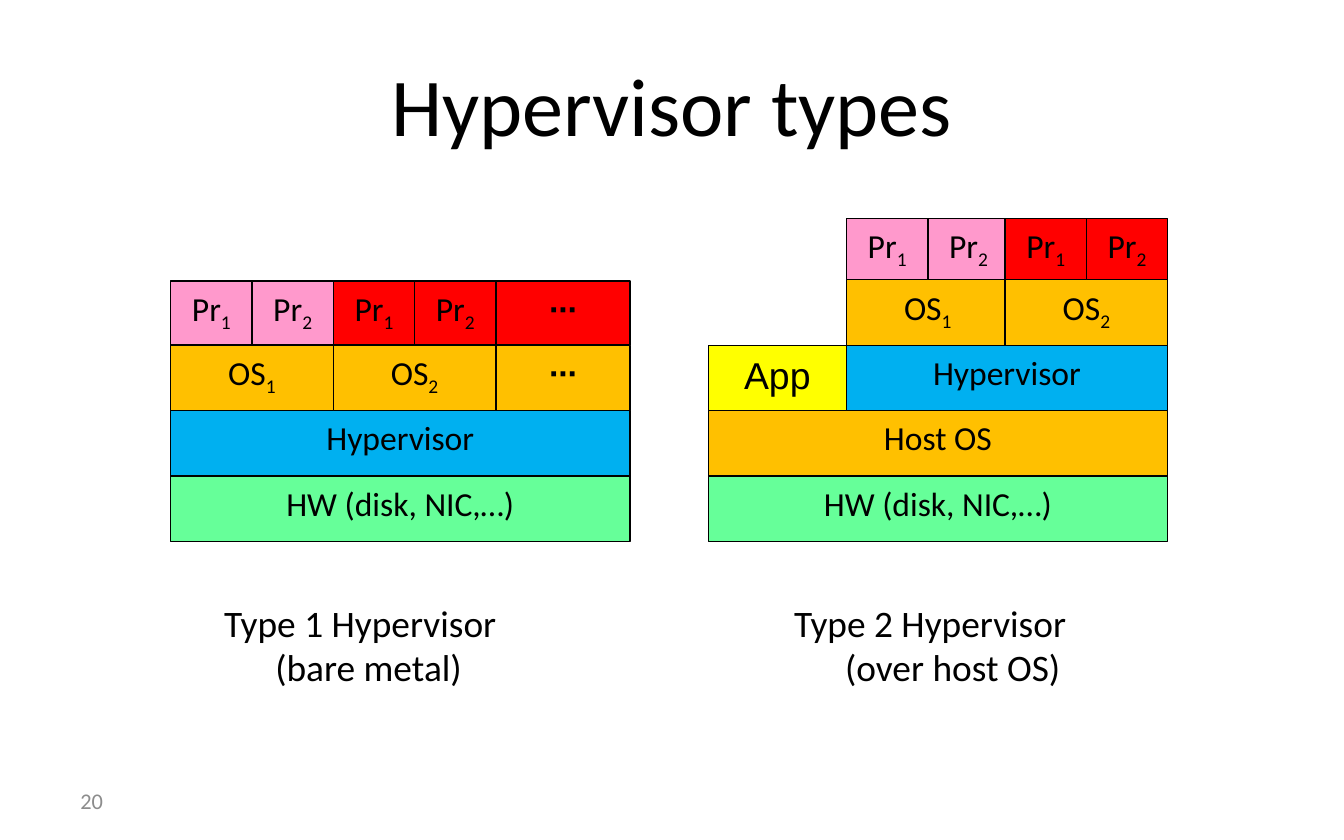
"""Build a slide comparing type 1 and type 2 hypervisor stacks."""
from dataclasses import dataclass

from pptx import Presentation
from pptx import util as u
from pptx.dml import color
from pptx.enum import shapes, text


@dataclass(frozen=True)
class Theme:
    ink: str = "000000"
    muted: str = "8C8C8C"
    hardware: str = "66FF99"
    hypervisor: str = "00B0F0"
    system: str = "FFC000"
    first_guest: str = "FF99CC"
    second_guest: str = "FF0000"
    app: str = "FFFF00"
    body_font: str = "Calibri"
    plain_font: str = "Arial"
    title_size: int = 44
    caption_size: int = 20
    block_size: int = 18
    number_size: int = 12


theme = Theme()


def write(shape, words, size=theme.block_size, font=theme.body_font, ink=theme.ink,
          bold=False, align=text.PP_ALIGN.CENTER, anchor=text.MSO_ANCHOR.TOP, hanging=0):
    frame = shape.text_frame
    frame.word_wrap = True
    frame.vertical_anchor = anchor
    paragraph = frame.paragraphs[0]
    paragraph.alignment = align
    if hanging:
        properties = paragraph._p.get_or_add_pPr()
        properties.set("marL", str(u.Inches(hanging)))
        properties.set("indent", str(-u.Inches(hanging)))
    base, _, subscript = words.partition("_")
    for part in filter(None, (base, subscript)):
        run = paragraph.add_run()
        run.text = part
        run.font.size = u.Pt(size)
        run.font.name = font
        run.font.bold = bold
        run.font.color.rgb = color.RGBColor.from_string(ink)
        if part is subscript:
            run.font._element.set("baseline", "-25000")


presentation = Presentation()
presentation.slide_width = u.Inches(10)
presentation.slide_height = u.Inches(6.25)
slide = presentation.slides.add_slide(presentation.slide_layouts[6])
width, height = presentation.slide_width, presentation.slide_height

column = u.Inches(0.605)
row = u.Inches(0.487)
floor = u.Inches(4.03)
hanging = 0.38
dots = {"font": theme.plain_font, "bold": True}
app_format = {"font": theme.plain_font, "size": theme.caption_size}

bare_metal = [
    (0, 0, 5.65, 1, "HW (disk, NIC,…)", theme.hardware, {}),
    (0, 1, 5.65, 1, "Hypervisor", theme.hypervisor, {}),
    (0, 2, 2, 1, "OS_1", theme.system, {}),
    (2, 2, 2, 1, "OS_2", theme.system, {}),
    (4, 2, 1.65, 1, "∙∙∙", theme.system, dots),
    (0, 3, 1, 0.98, "Pr_1", theme.first_guest, {}),
    (1, 3, 1, 0.98, "Pr_2", theme.first_guest, {}),
    (2, 3, 1, 0.98, "Pr_1", theme.second_guest, {}),
    (3, 3, 1, 0.98, "Pr_2", theme.second_guest, {}),
    (4, 3, 1.65, 0.98, "∙∙∙", theme.second_guest, dots),
]
over_host = [
    (0, 0, 5.65, 1, "HW (disk, NIC,…)", theme.hardware, {}),
    (0, 1, 5.65, 1, "Host OS", theme.system, {}),
    (1.7, 2, 3.95, 1, "Hypervisor", theme.hypervisor, {}),
    (0, 2, 1.7, 1, "App", theme.app, app_format),
    (1.7, 3, 2, 1, "OS_1", theme.system, {}),
    (3.65, 3, 2, 1, "OS_2", theme.system, {}),
    (1.7, 4, 1, 0.94, "Pr_1", theme.first_guest, {}),
    (2.7, 4, 1, 0.94, "Pr_2", theme.first_guest, {}),
    (3.65, 4, 1, 0.94, "Pr_1", theme.second_guest, {}),
    (4.65, 4, 1, 0.94, "Pr_2", theme.second_guest, {}),
]

title = slide.shapes.add_textbox(
    int(width * 0.05), int(height * 0.04), int(width * 0.9), int(height / 6))
write(title, "Hypervisor types", size=theme.title_size, anchor=text.MSO_ANCHOR.MIDDLE)

number = slide.shapes.add_textbox(
    int(width * 0.05), int(height * 0.927), int(width * 0.233), int(height * 0.053))
write(number, "20", size=theme.number_size, ink=theme.muted,
      align=text.PP_ALIGN.LEFT, anchor=text.MSO_ANCHOR.MIDDLE)

for stack_left, caption_left, caption_words, blocks in (
    (0.127, 0.157, "Type 1 Hypervisor (bare metal)", bare_metal),
    (0.527, 0.581, "Type 2 Hypervisor (over host OS)", over_host),
):
    for start, level, span, share, label, fill, style in blocks:
        block = slide.shapes.add_shape(
            shapes.MSO_SHAPE.RECTANGLE,
            int(width * stack_left + column * start),
            int(floor - row * (level + share)),
            int(column * span),
            int(row * share),
        )
        block.shadow.inherit = False
        block.fill.solid()
        block.fill.fore_color.rgb = color.RGBColor.from_string(fill)
        block.line.color.rgb = color.RGBColor.from_string(theme.ink)
        block.line.width = u.Pt(0.75)
        write(block, label, hanging=hanging, **style)

    caption = slide.shapes.add_textbox(
        int(width * caption_left), int(height * 0.706),
        int(width * 0.276), int(height * 0.102))
    write(caption, caption_words, size=theme.caption_size,
          align=text.PP_ALIGN.LEFT, hanging=hanging)

presentation.save("out.pptx")
